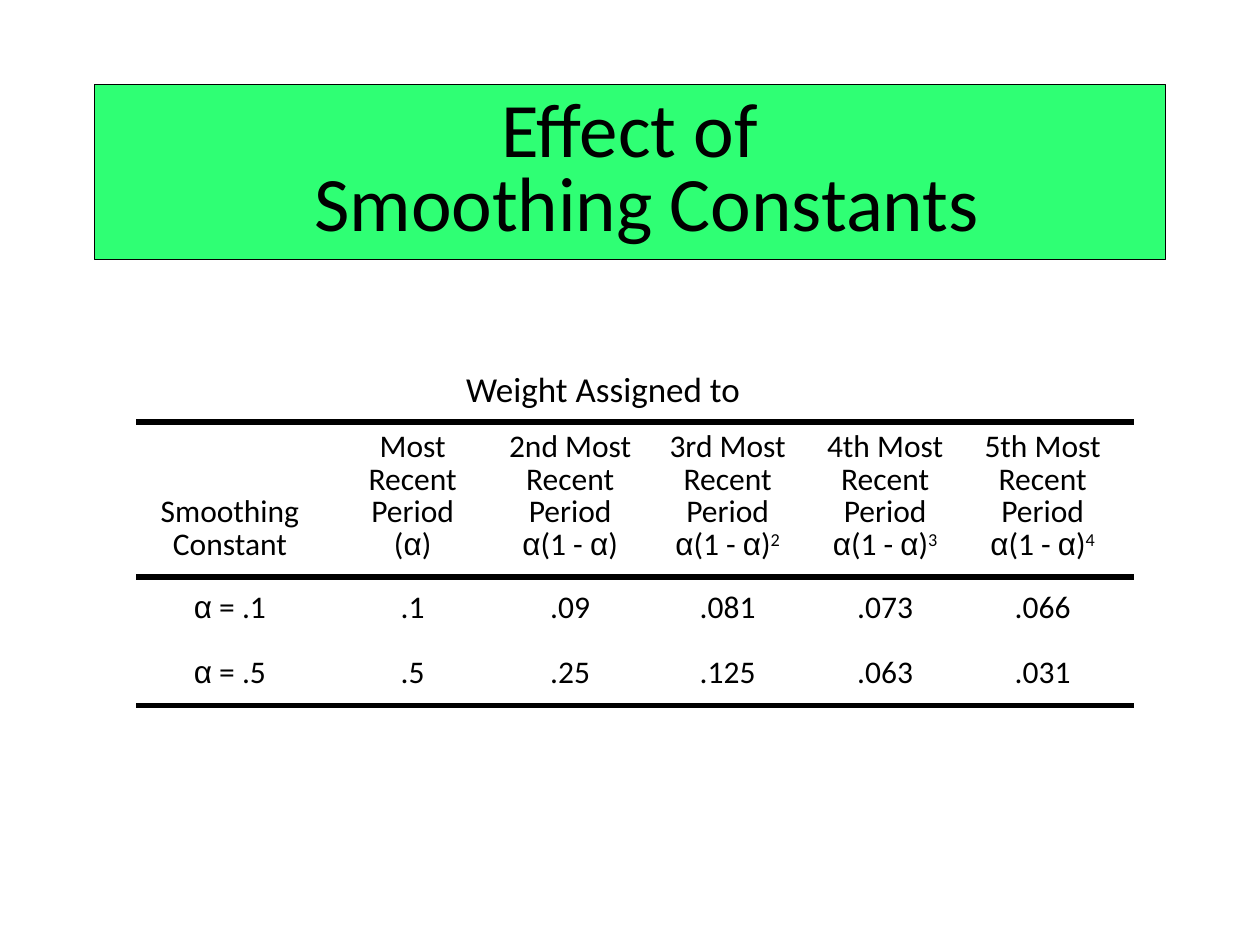
"""Build a slide showing how smoothing constants weight past periods."""
from lxml import etree
from pptx import Presentation
from pptx import util as u
from pptx.dml.color import RGBColor
from pptx.enum import shapes, text
from pptx.oxml.ns import qn


def color(code):
    return RGBColor.from_string(code)


def style(par, size, space):
    par.alignment = text.PP_ALIGN.CENTER
    par.line_spacing = space
    par.font.name = "Calibri"
    par.font.size = u.Pt(size)
    par.font.color.rgb = color("000000")


deck = Presentation()
deck.slide_width, deck.slide_height = u.Inches(10), u.Inches(7.5)
slide = deck.slides.add_slide(deck.slide_layouts[6])

title = slide.shapes.add_shape(
    shapes.MSO_SHAPE.RECTANGLE, u.Inches(0.75), u.Inches(0.67), u.Inches(8.5), u.Inches(1.39))
title.shadow.inherit = False
title.fill.solid()
title.fill.fore_color.rgb = color("2FFF74")
title.line.color.rgb = color("000000")
title.line.width = u.Pt(0.75)
title.text_frame.vertical_anchor = text.MSO_ANCHOR.MIDDLE
title.text_frame.text = "Effect of\nSmoothing Constants"
for par in title.text_frame.paragraphs:
    style(par, 44, 0.8)
par._p.get_or_add_pPr().set("marL", str(u.Inches(0.27)))

label = slide.shapes.add_textbox(u.Inches(3.6), u.Inches(2.87), u.Inches(2.79), u.Inches(0.43))
label.text_frame.word_wrap = False
label.text_frame.text = "Weight Assigned to"
style(label.text_frame.paragraphs[0], 20, 1.0)
label.text_frame.paragraphs[0].alignment = text.PP_ALIGN.LEFT

rows = [
    ["Smoothing\nConstant", "Most\nRecent\nPeriod\n(α)", "2nd Most\nRecent\nPeriod\nα(1 - α)",
     "3rd Most\nRecent\nPeriod\nα(1 - α)^2", "4th Most\nRecent\nPeriod\nα(1 - α)^3",
     "5th Most\nRecent\nPeriod\nα(1 - α)^4"],
    ["α = .1", ".1", ".09", ".081", ".073", ".066"],
    ["α = .5", ".5", ".25", ".125", ".063", ".031"],
]
widths = [1.65] + [1.25] * 5
heights = [1.23, 0.51, 0.51]
top = 3.35
grid = slide.shapes.add_table(
    len(rows), len(widths), u.Inches(1), u.Inches(top),
    u.Inches(sum(widths)), u.Inches(sum(heights))).table
grid.first_row = grid.horz_banding = False
for col, wide in zip(grid.columns, widths):
    col.width = u.Inches(wide)

for r, (row, high) in enumerate(zip(rows, heights)):
    grid.rows[r].height = u.Inches(high)
    for c, words in enumerate(row):
        cell = grid.cell(r, c)
        cell.fill.background()
        cell.margin_left = cell.margin_right = 0
        cell.margin_bottom = u.Inches(0.05 if r else 0.12)
        cell.vertical_anchor = text.MSO_ANCHOR.MIDDLE if r else text.MSO_ANCHOR.BOTTOM
        for n, line in enumerate(words.split("\n")):
            par = cell.text_frame.add_paragraph() if n else cell.text_frame.paragraphs[0]
            style(par, 18, 0.85)
            base, _, power = line.partition("^")
            for part in base.replace("α", "|α|").split("|"):
                if part:
                    run = par.add_run()
                    run.text = part
                    if part == "α":
                        run.font.name = "Arial"
            if power:
                run = par.add_run()
                run.text = power
                run._r.get_or_add_rPr().set("baseline", "30000")

for y in (top, top + heights[0], top + sum(heights)):
    rule = slide.shapes.add_connector(
        shapes.MSO_CONNECTOR.STRAIGHT, u.Inches(1.08), u.Inches(y), u.Inches(9), u.Inches(y))
    rule.line.color.rgb = color("000000")
    rule.line.width = u.Pt(3)
    etree.SubElement(rule._element.spPr, qn("a:effectLst"))

deck.save("out.pptx")
